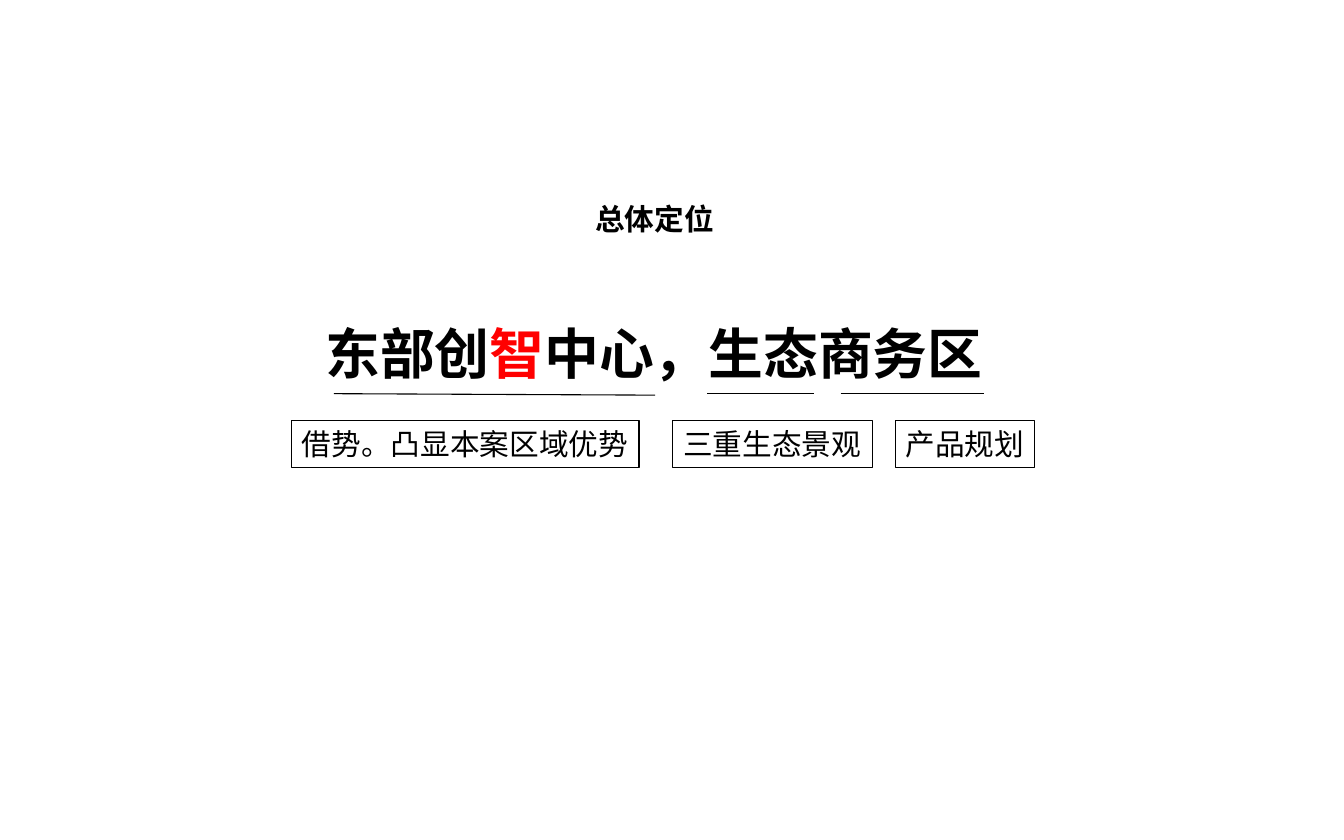
from lxml import etree
from pptx import Presentation
from pptx.dml.color import RGBColor
from pptx.enum import shapes, text
from pptx.oxml import ns
from pptx.util import Pt

COLORS = {"ink": "000000", "accent": "FF0000", "paper": "FFFFFF"}
FONT = "Noto Sans CJK TC"


def color(name):
    return RGBColor.from_string(COLORS[name])


def style(run, size, bold=False, tint="ink"):
    font = run.font
    font.size, font.bold, font.name = Pt(size), bold, FONT
    font.color.rgb = color(tint)
    east = etree.SubElement(run._r.rPr, ns.qn("a:ea"))
    east.set("typeface", FONT)


def set_frame(frame, side, edge, wrap=True):
    """Set the insets and centre the text vertically."""
    frame.word_wrap = wrap
    frame.auto_size = text.MSO_AUTO_SIZE.NONE
    frame.margin_left = frame.margin_right = Pt(side)
    frame.margin_top = frame.margin_bottom = Pt(edge)
    frame.vertical_anchor = text.MSO_ANCHOR.MIDDLE


def add_title(slide, left, top, width, height):
    title = slide.shapes.title
    title.left, title.top = Pt(left), Pt(top)
    title.width, title.height = Pt(width), Pt(height)
    frame = title.text_frame
    frame.text = "总体定位"
    set_frame(frame, 8.6, 4.3)
    para = frame.paragraphs[0]
    para.alignment = text.PP_ALIGN.CENTER
    style(para.runs[0], 20, bold=True)


def add_slogan(slide, left, top, width, height):
    box = slide.shapes.add_textbox(Pt(left), Pt(top), Pt(width), Pt(height))
    frame = box.text_frame
    set_frame(frame, 8.6, 4.3)
    frame.margin_bottom = Pt(7)
    para = frame.paragraphs[0]
    para.alignment = text.PP_ALIGN.CENTER
    parts = [("东部创", "ink"), ("智", "accent"), ("中心，生态商务区", "ink")]
    for words, tint in parts:
        run = para.add_run()
        run.text = words
        style(run, 37, bold=True, tint=tint)


def add_rule(slide, left, top, width, drop):
    line = slide.shapes.add_connector(
        shapes.MSO_CONNECTOR.STRAIGHT,
        Pt(left), Pt(top), Pt(left + width), Pt(top + drop))
    line.line.color.rgb = color("ink")
    line.line.width = Pt(0.75)
    etree.SubElement(line._element.spPr, ns.qn("a:effectLst"))


def add_tag(slide, words, left, top, width, height):
    tag = slide.shapes.add_shape(
        shapes.MSO_SHAPE.RECTANGLE, Pt(left), Pt(top), Pt(width), Pt(height))
    tag.shadow.inherit = False
    tag.fill.background()
    tag.line.color.rgb = color("ink")
    tag.line.width = Pt(0.75)
    frame = tag.text_frame
    frame.text = words
    set_frame(frame, 7.2, 3.6, wrap=False)
    para = frame.paragraphs[0]
    para.alignment = text.PP_ALIGN.LEFT
    style(para.runs[0], 20)


def add_themes(slide, left, top):
    """Underline the parts of the slogan and name each one below."""
    themes = [
        # words, rule offset, rule width, rule drop, tag offset, tag width
        ("借势。凸显本案区域优势", 28.8, 216.7, 1, 0, 234.7),
        ("三重生态景观", 280.8, 72, 0, 257.5, 134.6),
        ("产品规划", 370.8, 96.4, 0, 407.5, 94.3),
    ]
    for words, start, length, drop, shift, width in themes:
        add_rule(slide, left + start, top, length, drop)
        add_tag(slide, words, left + shift, top + 18.2, width, 31.5)


def main():
    deck = Presentation()
    deck.slide_width, deck.slide_height = Pt(907.09), Pt(566.93)
    slide = deck.slides.add_slide(deck.slide_layouts[5])
    slide.background.fill.solid()
    slide.background.fill.fore_color.rgb = color("paper")
    add_title(slide, 363.6, 121.7, 156.2, 51.1)
    add_slogan(slide, 99.4, 211.7, 684, 55.4)
    add_themes(slide, 196.6, 265.7)
    deck.save("out.pptx")


if __name__ == "__main__":
    main()
